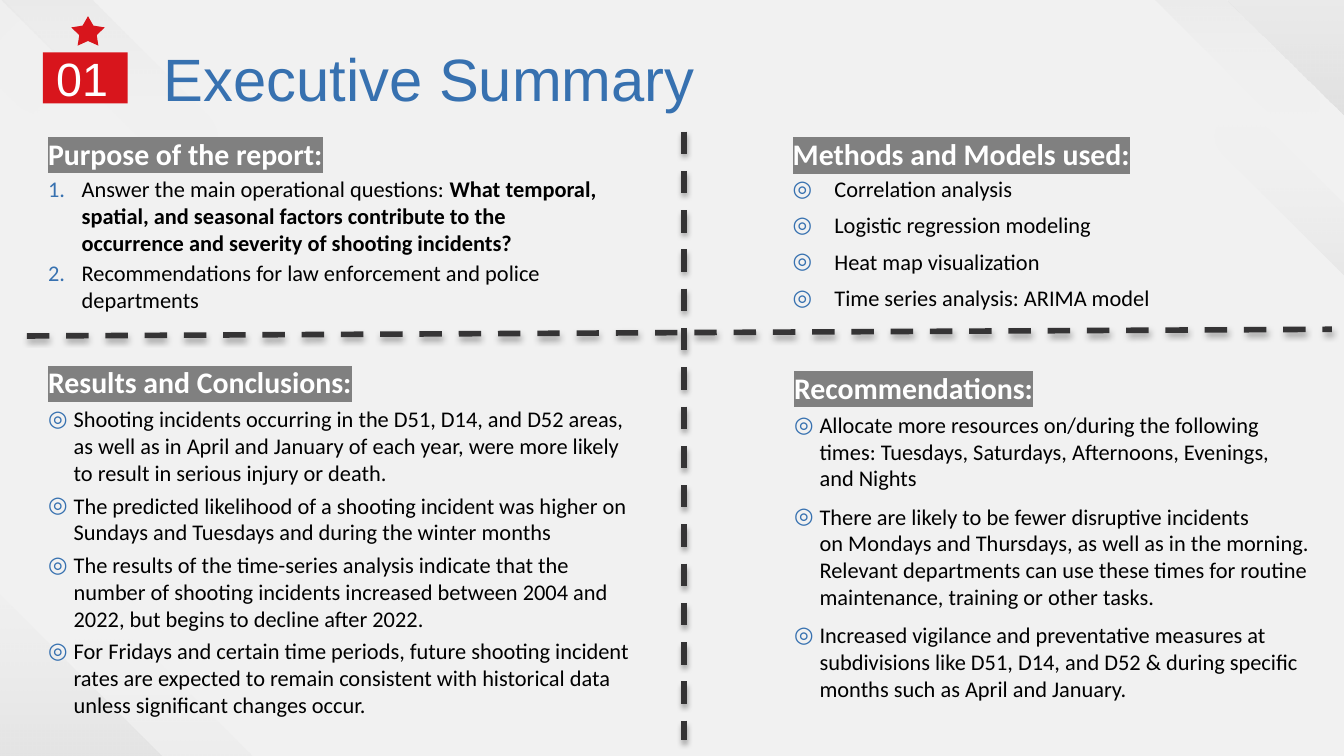
"""Builds the Executive Summary slide with four quadrants of findings."""
from dataclasses import dataclass
from math import cos, pi, sin

from lxml.etree import SubElement
from pptx import Presentation
from pptx.dml.color import RGBColor as RGB
from pptx.enum.dml import MSO_LINE as DASH
from pptx.enum.shapes import MSO_CONNECTOR as CONN, MSO_SHAPE as SHAPE
from pptx.enum.text import MSO_ANCHOR as ANCHOR, MSO_AUTO_SIZE as FIT
from pptx.oxml import parse_xml
from pptx.oxml.ns import nsdecls, qn
from pptx.util import Inches, Pt

HARD_SPACE = chr(160)


@dataclass(frozen=True)
class Theme:
    background: str = "F1F1F1"
    blue: str = "3771B0"
    red: str = "D8151C"
    white: str = "FFFFFF"
    black: str = "000000"
    gray: str = "808080"
    dark: str = "292929"
    rule: str = "353435"
    display_font: str = "Arial"
    body_font: str = "Calibri"
    title: int = 32
    number: int = 25
    heading: int = 16
    body: int = 12


class Deck:
    def __init__(self, theme):
        self.theme = theme
        self.prs = Presentation()
        self.prs.slide_width, self.prs.slide_height = Inches(10), Inches(10 * 9 / 16)
        self.s = self.prs.slides.add_slide(self.prs.slide_layouts[6])
        fill = self.s.background.fill
        fill.solid()
        fill.fore_color.rgb = RGB.from_string(theme.background)

    def run(self, p, text, size, color, font, bold=False, highlight=None):
        r = p.add_run()
        r.text = text.replace("~", HARD_SPACE)
        r.font.size, r.font.bold, r.font.name = Pt(size), bold, font
        r.font.color.rgb = RGB.from_string(color)
        if highlight:
            fill = r.font.fill._xPr.find(qn("a:solidFill"))
            fill.addnext(parse_xml(
                f'<a:highlight {nsdecls("a")}><a:srgbClr val="{highlight}"/></a:highlight>'))

    def bullet(self, p, indent, mark):
        pPr = p._p.get_or_add_pPr()
        pPr.set("marL", str(Inches(indent)))
        pPr.set("indent", str(-Inches(indent)))
        SubElement(SubElement(pPr, qn("a:buClr")), qn("a:srgbClr")).set("val", self.theme.blue)
        if mark:
            SubElement(pPr, qn("a:buFont")).set("typeface", self.theme.display_font)
            SubElement(pPr, qn("a:buChar")).set("char", mark)
        else:
            SubElement(pPr, qn("a:buAutoNum")).set("type", "arabicPeriod")

    def shape(self, kind, box, color):
        sp = self.s.shapes.add_shape(kind, *map(Inches, box))
        sp.shadow.inherit = False
        sp.fill.solid()
        sp.fill.fore_color.rgb = RGB.from_string(color)
        sp.line.fill.background()
        return sp

    def label(self, box, text, size, color):
        tf = self.s.shapes.add_textbox(*map(Inches, box)).text_frame
        tf.word_wrap, tf.vertical_anchor = True, ANCHOR.MIDDLE
        tf.margin_top = tf.margin_bottom = Inches(0.1)
        self.run(tf.paragraphs[0], text, size, color, self.theme.display_font)

    def section(self, box, heading, items, indent, before, after, heading_after=0, mark="◎"):
        t = self.theme
        tf = self.s.shapes.add_textbox(*map(Inches, box)).text_frame
        tf.word_wrap, tf.auto_size = True, FIT.SHAPE_TO_FIT_TEXT
        p = tf.paragraphs[0]
        p.space_after = Pt(heading_after)
        self.run(p, heading, t.heading, t.white, t.body_font, True, t.gray)
        for parts in items:
            p = tf.add_paragraph()
            self.bullet(p, indent, mark)
            p.space_before, p.space_after = Pt(before), Pt(after)
            for i, text in enumerate(parts):
                self.run(p, text, t.body, t.black, t.body_font, i == 1)

    def shade(self, points, angle):
        t = self.theme
        start, *rest = [(Inches(x), Inches(y)) for x, y in points]
        builder = self.s.shapes.build_freeform(*start)
        builder.add_line_segments(rest, close=True)
        sp = builder.convert_to_shape()
        sp.shadow.inherit = False
        sp.line.fill.background()
        sp.fill.background()
        spPr = sp._element.spPr
        spPr.replace(spPr.find(qn("a:noFill")), parse_xml(
            f'<a:gradFill {nsdecls("a")} rotWithShape="1"><a:gsLst>'
            f'<a:gs pos="0"><a:srgbClr val="{t.white}"><a:alpha val="0"/></a:srgbClr></a:gs>'
            f'<a:gs pos="100000"><a:srgbClr val="{t.dark}"><a:alpha val="10000"/></a:srgbClr></a:gs>'
            f'</a:gsLst><a:lin ang="{angle * 60000}" scaled="0"/></a:gradFill>'))

    def bar(self, x, y, length, radius, angle, steps=12):
        points = []
        for offset, first in ((length, -pi / 4), (0, 3 * pi / 4)):
            turns = [first + pi * i / steps for i in range(steps + 1)]
            points += [(x + offset + radius * cos(a), y + offset + radius * sin(a)) for a in turns]
        self.shade(points, angle)

    def divider(self, x1, y1, x2, y2):
        line = self.s.shapes.add_connector(CONN.STRAIGHT, *map(Inches, (x1, y1, x2, y2)))
        line.line.color.rgb = RGB.from_string(self.theme.rule)
        line.line.width, line.line.dash_style = Pt(3), DASH.DASH
        line._element.spPr.append(parse_xml(
            f'<a:effectLst {nsdecls("a")}><a:outerShdw blurRad="{Pt(3.1)}" dist="{Pt(1.8)}" '
            f'dir="5400000" rotWithShape="0"><a:srgbClr val="{self.theme.black}">'
            f'<a:alpha val="35000"/></a:srgbClr></a:outerShdw></a:effectLst>'))


def main():
    theme = Theme()
    deck = Deck(theme)

    deck.shade([(-0.71, 3.71), (1.59, 6.01), (0.21, 6.01), (-0.71, 5.1)], 90)
    deck.shade([(9.14, -1.57), (11.73, 1.03), (10.18, 1.03), (9.14, 0.01)], 90)
    for bar in ((8.31, -0.55, 1.32, 0.19, 270), (9.23, 1.01, 1.32, 0.19, 90),
                (-0.26, -0.61, 1.64, 0.24, 270), (-1.34, -1.03, 1.64, 0.24, 225),
                (0.77, 4.86, 1.64, 0.24, 90)):
        deck.bar(*bar)

    number_box = (0.32, 0.39, 0.63, 0.38)
    deck.label((1.12, 0.17, 5.76, 0.81), "Executive Summary", theme.title, theme.blue)
    deck.shape(SHAPE.RECTANGLE, number_box, theme.red)
    deck.label(number_box, "01", theme.number, theme.white)
    star = deck.shape(SHAPE.STAR_5_POINT, (0.53, 0.12, 0.25, 0.22), theme.red)
    star.adjustments[0] = 0.26

    deck.section((0.26, 0.96, 4.36, 1.44), "Purpose of the report:", [
        ("Answer the main operational questions:~",
         "What temporal, spatial, and seasonal factors~contribute to the occurrence "
         "and severity of shooting incidents?"),
        ("Recommendations for law enforcement and police departments",),
    ], 0.25, 0, 2, heading_after=2, mark=None)
    deck.section((5.8, 0.96, 3.71, 1.42), "Methods and Models used:", [
        ("Correlation analysis",),
        ("Logistic regression modeling",),
        ("Heat map visualization",),
        ("Time series analysis: ARIMA model",),
    ], 0.31, 2, 3)
    deck.section((0.26, 2.66, 4.57, 2.76), "Results and Conclusions:", [
        ("Shooting incidents occurring in the D51, D14, and D52 areas, as well as in April "
         "and January of each year, were more likely to result in serious injury or death.",),
        ("The predicted likelihood of a shooting incident was higher on Sundays and Tuesdays "
         "and during the winter months",),
        ("The results of the time-series analysis indicate that the number of shooting "
         "incidents increased~between 2004 and 2022, but begins to decline after 2022.",),
        ("For Fridays and certain time periods, future shooting incident rates are expected "
         "to remain consistent with historical data unless significant changes occur.",),
    ], 0.19, 0, 3, heading_after=3)
    deck.section((5.81, 2.7, 4.1, 2.6), "Recommendations:", [
        ("Allocate more resources on/during the following times:~Tuesdays,~Saturdays, "
         "Afternoons, Evenings, and~Nights",),
        ("There are likely to be fewer disruptive incidents on~Mondays and Thursdays, as well "
         "as in the morning. Relevant departments can use these times for routine "
         "maintenance, training or other tasks.",),
        ("Increased vigilance and preventative measures at subdivisions like D51, D14, and "
         "D52 & during specific months such as April and January.",),
    ], 0.19, 3, 3)

    deck.divider(0.2, 2.5, 9.91, 2.45)
    deck.divider(5.09, 0.98, 5.09, 5.51)
    deck.prs.save("out.pptx")


if __name__ == "__main__":
    main()
